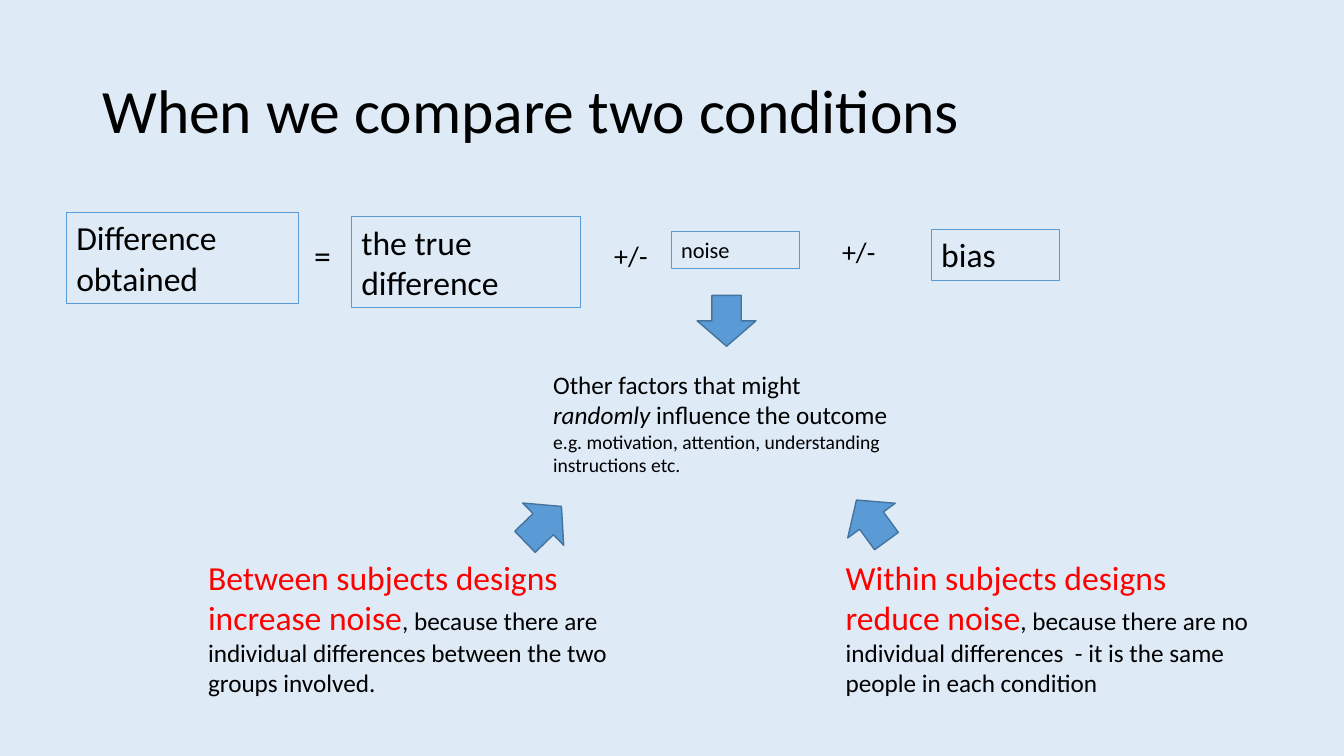
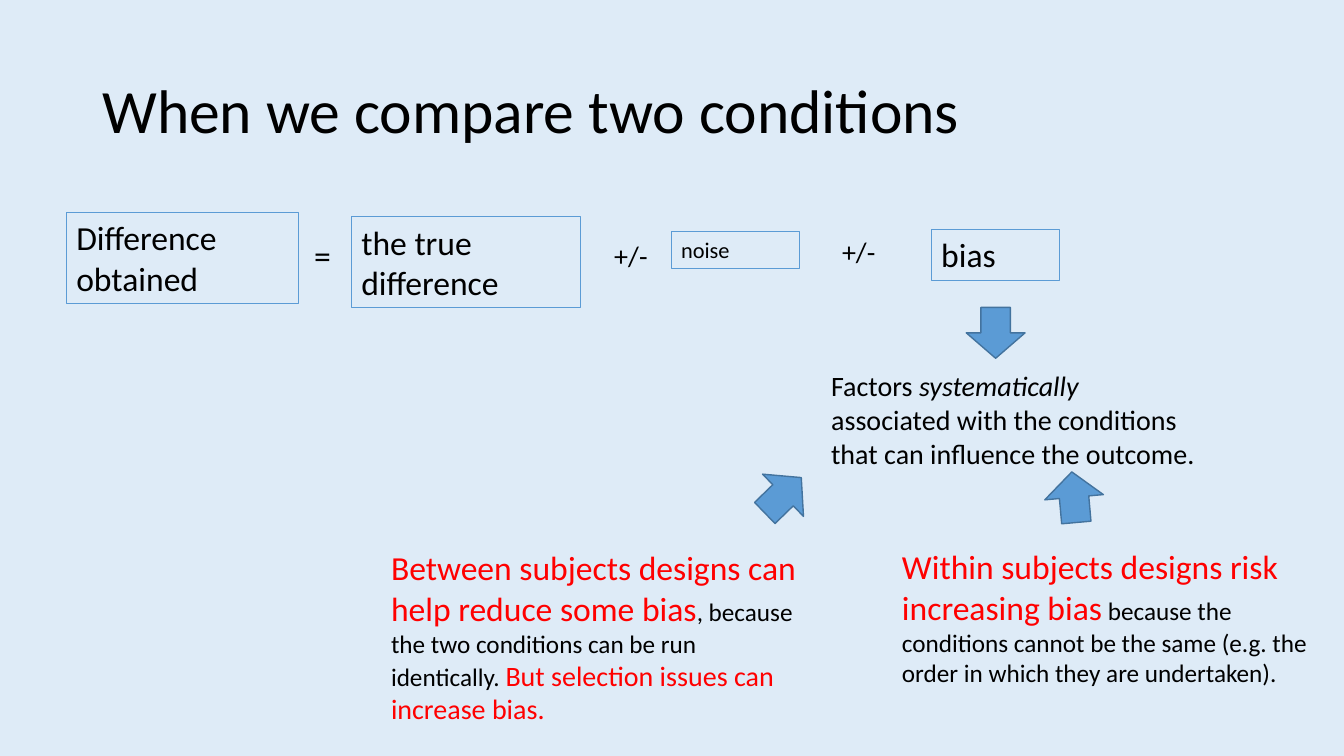
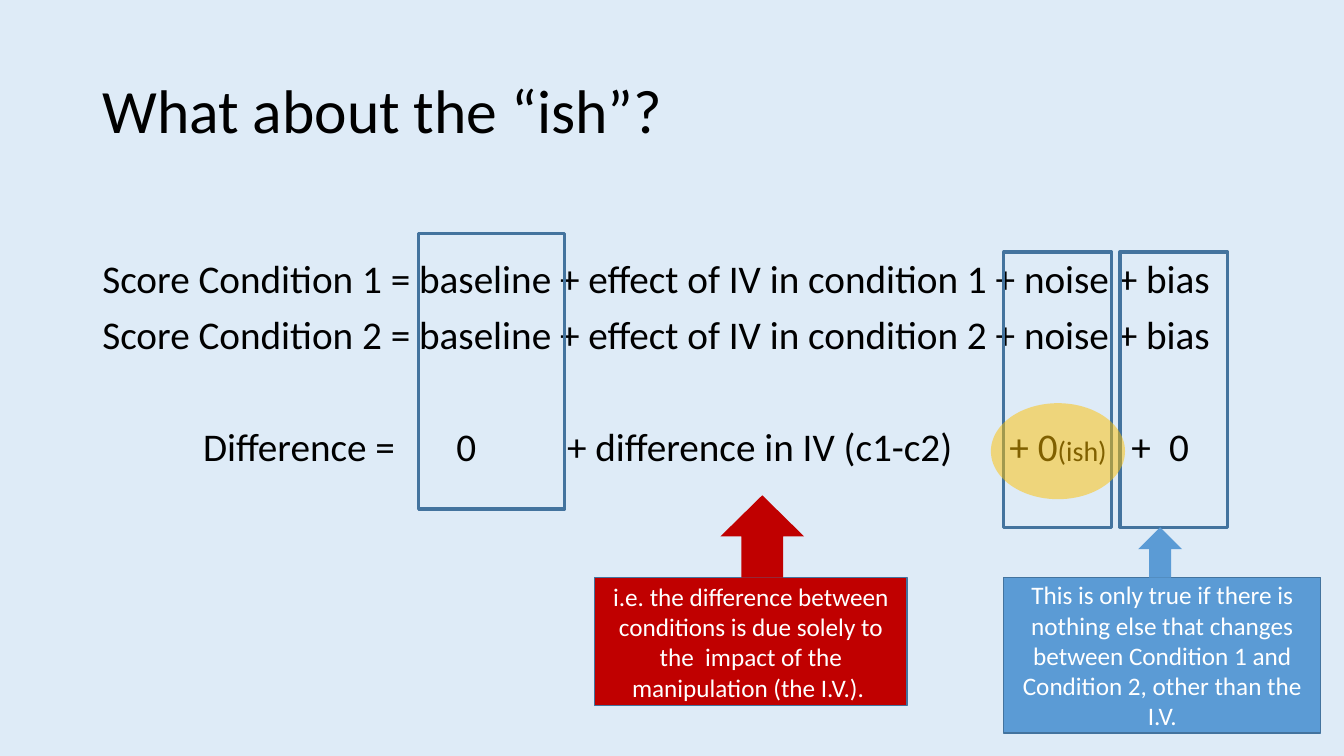
from dataclasses import dataclass
from typing import Optional

from lxml import etree
from pptx import Presentation
from pptx import util as u
from pptx.dml import color as dml
from pptx.enum import shapes, text
from pptx.oxml import ns

Pt = u.Pt
FONT = "Calibri"
COLORS = {
    "background": "DEEBF7",
    "text": "000000",
    "emphasis": "FF0000",
    "light": "FFFFFF",
    "blue": "5B9BD5",
    "outline": "43739E",
    "red": "C00000",
    "gold": "FFC000",
}
KIND = shapes.MSO_SHAPE
ANCHOR = text.MSO_ANCHOR
ALIGN = text.PP_ALIGN


@dataclass(frozen=True)
class Run:
    text: str
    size: Optional[float] = None
    color: Optional[str] = None
    italic: bool = False


@dataclass(frozen=True)
class Line:
    runs: tuple[Run, ...]
    size: float = 18
    color: str = "text"
    spacing: float = 1.0
    before: float = 0
    tabs: tuple[float, ...] = ()


@dataclass(frozen=True)
class Area:
    left: float
    top: float
    width: float
    height: float


@dataclass(frozen=True)
class Figure:
    area: Area
    kind: KIND = KIND.RECTANGLE
    fill: Optional[str] = None
    outline: Optional[str] = None
    weight: float = 1
    rotation: float = 0
    opacity: int = 100
    lines: tuple[Line, ...] = ()
    anchor: ANCHOR = ANCHOR.TOP
    alignment: ALIGN = ALIGN.LEFT


def rgb(name: str) -> dml.RGBColor:
    return dml.RGBColor.from_string(COLORS[name])


def place(area: Area) -> tuple[u.Length, ...]:
    return Pt(area.left), Pt(area.top), Pt(area.width), Pt(area.height)


def plain(content: str, size: float, color: str = "text") -> tuple[Line, ...]:
    return (Line((Run(content),), size, color),)


def add_tabs(paragraph, positions: tuple[float, ...]) -> None:
    properties = paragraph._p.get_or_add_pPr()
    stops = etree.Element(ns.qn("a:tabLst"))
    for position in positions:
        etree.SubElement(stops, ns.qn("a:tab"), pos=str(Pt(position)), algn="l")
    properties.find(ns.qn("a:defRPr")).addprevious(stops)


def write(frame, lines: tuple[Line, ...], anchor: ANCHOR, alignment: ALIGN) -> None:
    frame.word_wrap = True
    frame.vertical_anchor = anchor
    for index, line in enumerate(lines):
        paragraph = frame.add_paragraph() if index else frame.paragraphs[0]
        paragraph.alignment = alignment
        paragraph.line_spacing = line.spacing
        paragraph.space_before = Pt(line.before)
        paragraph.font.name = FONT
        paragraph.font.size = Pt(line.size)
        paragraph.font.color.rgb = rgb(line.color)
        if line.tabs:
            add_tabs(paragraph, line.tabs)
        for part in line.runs:
            run = paragraph.add_run()
            run.text = part.text
            if part.size:
                run.font.size = Pt(part.size)
            if part.color:
                run.font.color.rgb = rgb(part.color)
            if part.italic:
                run.font.italic = True


def add_text(slide, area: Area, lines: tuple[Line, ...], anchor: ANCHOR = ANCHOR.TOP) -> None:
    shape = slide.shapes.add_textbox(*place(area))
    write(shape.text_frame, lines, anchor, ALIGN.LEFT)


def add_figure(slide, figure: Figure) -> None:
    shape = slide.shapes.add_shape(figure.kind, *place(figure.area))
    shape.shadow.inherit = False
    shape.rotation = figure.rotation
    if figure.fill:
        shape.fill.solid()
        shape.fill.fore_color.rgb = rgb(figure.fill)
        if figure.opacity < 100:
            fill_color = shape.element.spPr.find(".//" + ns.qn("a:srgbClr"))
            etree.SubElement(fill_color, ns.qn("a:alpha"), val=str(figure.opacity * 1000))
    else:
        shape.fill.background()
    if figure.outline:
        shape.line.color.rgb = rgb(figure.outline)
        shape.line.width = Pt(figure.weight)
    else:
        shape.line.fill.background()
    if figure.lines:
        write(shape.text_frame, figure.lines, figure.anchor, figure.alignment)


def add_titled_slide(presentation, title: str):
    slide = presentation.slides.add_slide(presentation.slide_layouts[6])
    heading = Line((Run(title),), 44, spacing=0.9)
    add_text(slide, Area(66, 28.8, 828, 104.4), (heading,), ANCHOR.MIDDLE)
    return slide


def add_arrow(slide, left: float, top: float, rotation: float = 0) -> None:
    area = Area(left, top, 42, 36.3)
    add_figure(slide, Figure(area, KIND.DOWN_ARROW, "blue", "outline", rotation=rotation))


def add_design_note(slide, left: float, top: float, height: float, *runs: Run) -> None:
    add_text(slide, Area(left, top, 314, height), (Line(runs),))


def add_equation(slide) -> None:
    terms = (
        ("Difference obtained", 24, Area(47.4, 151.7, 165.8, 65.4)),
        ("the true difference", 24, Area(251, 154.6, 163.6, 65.4)),
        ("noise", 16, Area(479.4, 165.2, 91.6, 26.7)),
        ("bias", 24, Area(665.2, 163.9, 91.6, 36.4)),
    )
    signs = (
        ("=", 24, Area(217.4, 164.2, 33.8, 36.4)),
        ("+/-", 20, Area(431.7, 167.1, 48.2, 31.5)),
        ("+/-", 20, Area(594.4, 164.2, 48.2, 31.5)),
    )
    for content, size, area in terms:
        add_figure(slide, Figure(area, outline="blue", weight=0.75, lines=plain(content, size)))
    for content, size, area in signs:
        add_text(slide, area, plain(content, size))


def build_noise_slide(presentation) -> None:
    slide = add_titled_slide(presentation, "When we compare two conditions")
    add_equation(slide)
    factors = Line((
        Run("Other factors that might "),
        Run("randomly", italic=True),
        Run(" influence the outcome"),
    ))
    examples = plain("e.g. motivation, attention, understanding instructions etc.", 14)
    add_text(slide, Area(388, 260, 262.8, 85), (factors, *examples))
    add_design_note(
        slide, 141.5, 394, 108.7,
        Run("Between subjects designs increase noise", 24, "emphasis"),
        Run(", because there are individual differences between the two groups involved."),
    )
    add_design_note(
        slide, 597, 394, 108.7,
        Run("Within subjects designs reduce noise", 24, "emphasis"),
        Run(", because there are no individual differences  - it is the same people in each condition"),
    )
    add_arrow(slide, 498, 211)
    add_arrow(slide, 367, 356.2, 225.9)
    add_arrow(slide, 601.5, 353.7, 143.9)


def build_bias_slide(presentation) -> None:
    slide = add_titled_slide(presentation, "When we compare two conditions")
    add_equation(slide)
    factors = Line((
        Run("Factors "),
        Run("systematically", italic=True),
        Run(" associated with the conditions that can influence the outcome."),
    ), 20)
    add_text(slide, Area(586.6, 260, 275.8, 80), (factors,))
    add_design_note(
        slide, 272.2, 387.4, 135.4,
        Run("Between subjects designs can help reduce some bias", 24, "emphasis"),
        Run(", because the two conditions can be run identically. "),
        Run("But selection issues can increase bias.", 20, "emphasis"),
    )
    add_design_note(
        slide, 637.2, 386.6, 108.7,
        Run("Within subjects designs risk increasing bias", 24, "emphasis"),
        Run(" because the conditions cannot be the same (e.g. the order in which they are undertaken)."),
    )
    add_arrow(slide, 690.2, 219.6)
    add_arrow(slide, 538.3, 335.6, 225.9)
    add_arrow(slide, 746.2, 337, 174.9)


def build_ish_slide(presentation) -> None:
    slide = add_titled_slide(presentation, "What about the “ish”?")
    scores = tuple(
        Line(
            (Run(
                f"Score Condition {number} = baseline + effect of IV"
                f" in condition {number} + noise + bias"
            ),),
            28, spacing=0.9, before=before,
        )
        for number, before in ((1, 0), (2, 10))
    )
    difference = Line(
        (
            Run("\tDifference =\t0\t+ difference in IV (c1-c2)\t+ 0"),
            Run("(ish)", 20),
            Run("\t+\t0"),
        ),
        28, spacing=0.9, before=49.5, tabs=(72, 253, 332, 648, 735, 762),
    )
    add_text(slide, Area(66, 181.8, 828, 202), (*scores, difference))

    for left, top, width in ((800, 180, 77), (717, 180, 77), (299, 167, 104.4)):
        add_figure(slide, Figure(Area(left, top, width, 196.6), outline="outline", weight=2.25))

    callouts = (
        (
            Area(717, 412.6, 226.5, 110.9), "blue",
            "This is only true if there is nothing else that changes between "
            "Condition 1 and Condition 2, other than the I.V.",
        ),
        (
            Area(424.8, 412.6, 223.2, 91.4), "red",
            "i.e. the difference between conditions is due solely to the  impact "
            "of the manipulation (the I.V.). ",
        ),
    )
    for area, fill, content in callouts:
        add_figure(slide, Figure(
            area, fill=fill, outline="outline", lines=plain(content, 18, "light"),
            anchor=ANCHOR.MIDDLE, alignment=ALIGN.CENTER,
        ))
    add_figure(slide, Figure(Area(514.6, 353.8, 59.8, 58.8), KIND.UP_ARROW, "red"))
    add_figure(slide, Figure(Area(813, 376.6, 31.4, 36), KIND.UP_ARROW, "blue"))
    add_figure(slide, Figure(Area(707.8, 288, 95.8, 68.6), KIND.OVAL, "gold", opacity=50))


def main() -> None:
    presentation = Presentation()
    presentation.slide_width = Pt(960)
    presentation.slide_height = Pt(540)
    background = presentation.slide_master.background.fill
    background.solid()
    background.fore_color.rgb = rgb("background")
    build_noise_slide(presentation)
    build_bias_slide(presentation)
    build_ish_slide(presentation)
    presentation.save("out.pptx")


if __name__ == "__main__":
    main()
